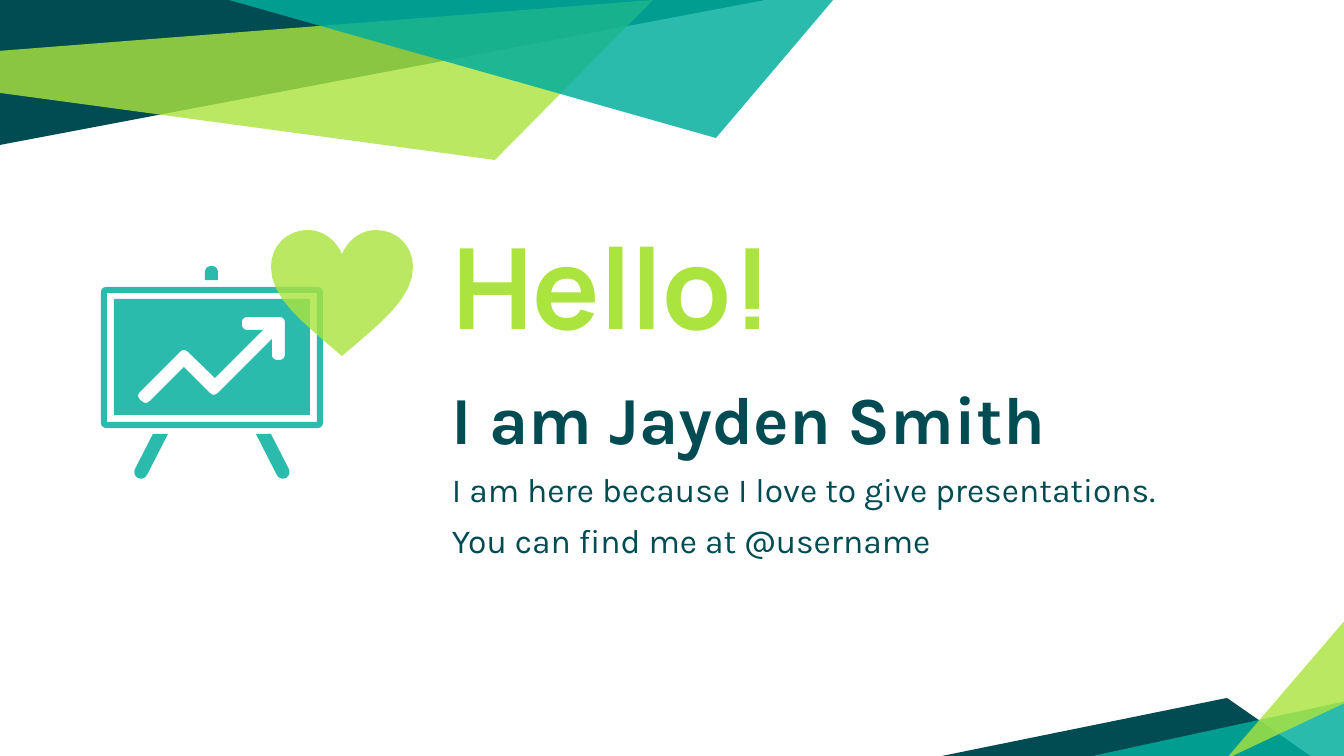
from lxml import etree
from pptx import Presentation
from pptx.dml.color import RGBColor
from pptx.enum.text import MSO_ANCHOR, MSO_AUTO_SIZE, PP_ALIGN
from pptx.oxml.ns import qn
from pptx.util import Pt

PX = 914400 / 134.4
WIDE, HIGH = 1344, 756
NAVY = RGBColor(0x00, 0x4C, 0x52)
TEAL = RGBColor(0x00, 0xAE, 0x9D)
LIME = RGBColor(0xAB, 0xE3, 0x3F)
ALPHA = {NAVY: 100, TEAL: 83, LIME: 81}
TOP, MIDDLE = MSO_ANCHOR.TOP, MSO_ANCHOR.MIDDLE
LEFT = PP_ALIGN.LEFT
NO_FIT = MSO_AUTO_SIZE.NONE
STEPS = 8

BANDS = [
    (NAVY, [(0, 0), (0, 145), (765, 0)]),
    (LIME, [(-1, 51), (0, 93), (495, 160), (653, 0)]),
    (NAVY, [(937, 757), (1312, 757), (1227, 698)]),
    (TEAL, [(1347, 701), (1347, 759), (1079, 759)]),
    (LIME, [(1347, 702), (1347, 618), (1226, 759)]),
    (TEAL, [(229, 0), (716, 138), (834, -1), (818, 0)]),
]
# Corners with a third number are rounded, starting that far from the corner.
ARROW = [
    (242, 317, 6), (285, 317, 6), (285, 360, 6), (272, 360, 6), (272, 339),
    (214, 397, 6), (184, 367), (146, 405, 6), (136, 396, 6), (184, 348, 6),
    (215, 378), (263, 330), (242, 330, 6),
]
KNOB = [(205, 280), (205, 266, 7), (218, 266, 7), (218, 280)]
LEG = [(153, 434), (132, 475, 8), (144, 481, 8), (168, 434)]
AXIS = 212
HEART_AXIS = 342
LOBE = [
    [(342, 254), (348, 240), (361, 230), (376, 230)],
    [(376, 230), (397, 230), (413, 246), (413, 267)],
    [(413, 267), (413, 298), (382, 322), (342, 356)],
]


def emu(px):
    return round(px * PX)


def blend(a, b, t):
    return tuple(p + (q - p) * t for p, q in zip(a, b))


def curve(ends):
    """Points along the Bezier curve with these control points."""
    dots = []
    for step in range(STEPS + 1):
        row = ends
        while len(row) > 1:
            row = [blend(a, b, step / STEPS) for a, b in zip(row, row[1:])]
        dots.append(row[0])
    return dots


def soften(corners):
    """Round off each corner that gives a cut length."""
    dots = []
    for i, (x, y, *cut) in enumerate(corners):
        here = (x, y)
        if not cut:
            dots.append(here)
            continue
        sides = []
        for near in (corners[i - 1], corners[(i + 1) % len(corners)]):
            span = ((near[0] - x) ** 2 + (near[1] - y) ** 2) ** 0.5
            sides.append(blend(here, near[:2], cut[0] / span))
        dots += curve([sides[0], here, sides[1]])
    return dots


def mirror(dots, axis):
    return [(2 * axis - x, y, *cut) for x, y, *cut in dots]


def box(left, top, right, low, *cut):
    return [(left, top, *cut), (right, top, *cut),
            (right, low, *cut), (left, low, *cut)]


def add_form(shapes, color, *loops):
    """Draw one filled shape; later loops cut holes in the first."""
    paths = [[(emu(x), emu(y)) for x, y in soften(loop)] for loop in loops]
    pen = shapes.build_freeform(*paths[0][0])
    pen.add_line_segments(paths[0][1:])
    for path in paths[1:]:
        pen.move_to(*path[0])
        pen.add_line_segments(path[1:])
    form = pen.convert_to_shape()
    form.shadow.inherit = False
    form.line.fill.background()
    form.fill.solid()
    form.fill.fore_color.rgb = color
    if ALPHA[color] < 100:
        tint = form._element.spPr.find(".//" + qn("a:srgbClr"))
        etree.SubElement(tint, qn("a:alpha"), val=str(ALPHA[color] * 1000))


def add_board(slide):
    shapes = slide.shapes.add_group_shape().shapes
    add_form(shapes, TEAL, box(101, 287, 323, 428, 6),
             box(107, 293, 317, 422))
    add_form(shapes, TEAL, KNOB)
    add_form(shapes, TEAL, LEG)
    add_form(shapes, TEAL, mirror(LEG, AXIS))
    add_form(shapes, TEAL, box(114, 299, 310, 415), ARROW)


def add_heart(slide):
    half = [dot for part in LOBE for dot in curve(part)[:-1]]
    tip = LOBE[-1][-1]
    left = mirror(half[:0:-1], HEART_AXIS)
    add_form(slide.shapes, LIME, half + [tip] + left)


def set_frame(shape, anchor):
    frame = shape.text_frame
    frame.word_wrap = True
    frame.auto_size = NO_FIT
    frame.vertical_anchor = anchor
    frame.margin_left = frame.margin_right = emu(13)
    frame.margin_top = frame.margin_bottom = emu(13)
    return frame


def add_run(para, text, font, size, color, bold):
    para.alignment = LEFT
    run = para.add_run()
    run.text = text
    run.font.name = font
    run.font.size = Pt(size)
    run.font.bold = bold
    run.font.color.rgb = color


def set_title(slide):
    title = slide.shapes.title
    title.left, title.top = emu(439), emu(199)
    title.width, title.height = emu(786), emu(171)
    frame = set_frame(title, MIDDLE)
    add_run(frame.paragraphs[0], "Hello!", "Manrope", 60, LIME, True)


def add_intro(slide):
    area = slide.shapes.add_textbox(emu(439), emu(364), emu(786), emu(323))
    frame = set_frame(area, TOP)
    lines = [
        ("I am Jayden Smith", 36, True),
        ("I am here because I love to give presentations.", 18, False),
        ("You can find me at @username", 18, False),
    ]
    for i, (text, size, bold) in enumerate(lines):
        para = frame.add_paragraph() if i else frame.paragraphs[0]
        para.space_before = Pt(6)
        add_run(para, text, "Karla", size, NAVY, bold)


def main():
    deck = Presentation()
    deck.slide_width, deck.slide_height = emu(WIDE), emu(HIGH)
    slide = deck.slides.add_slide(deck.slide_layouts[5])
    for color, corners in BANDS:
        add_form(slide.shapes, color, corners)
    set_title(slide)
    add_intro(slide)
    add_board(slide)
    add_heart(slide)
    deck.save("out.pptx")


if __name__ == "__main__":
    main()
